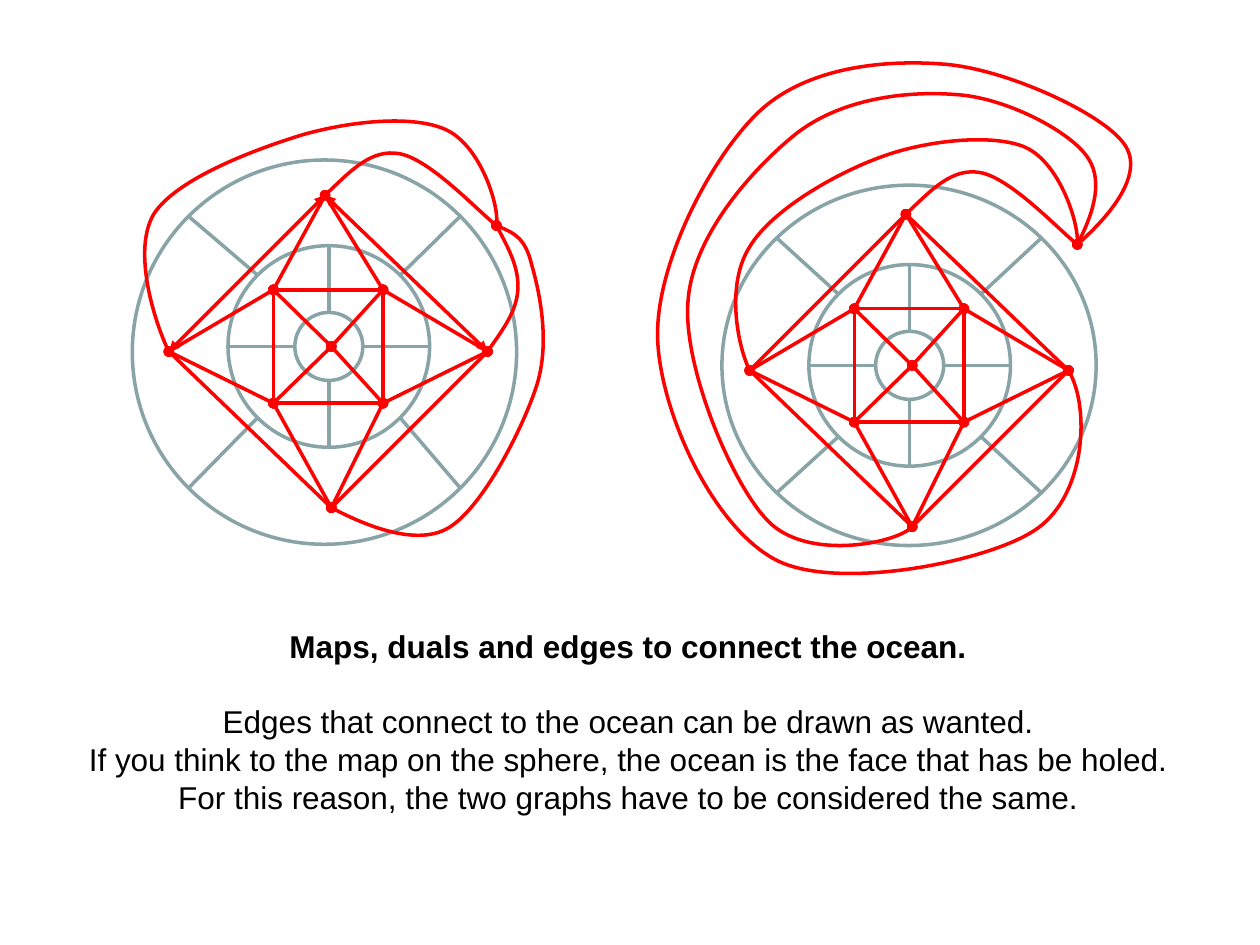
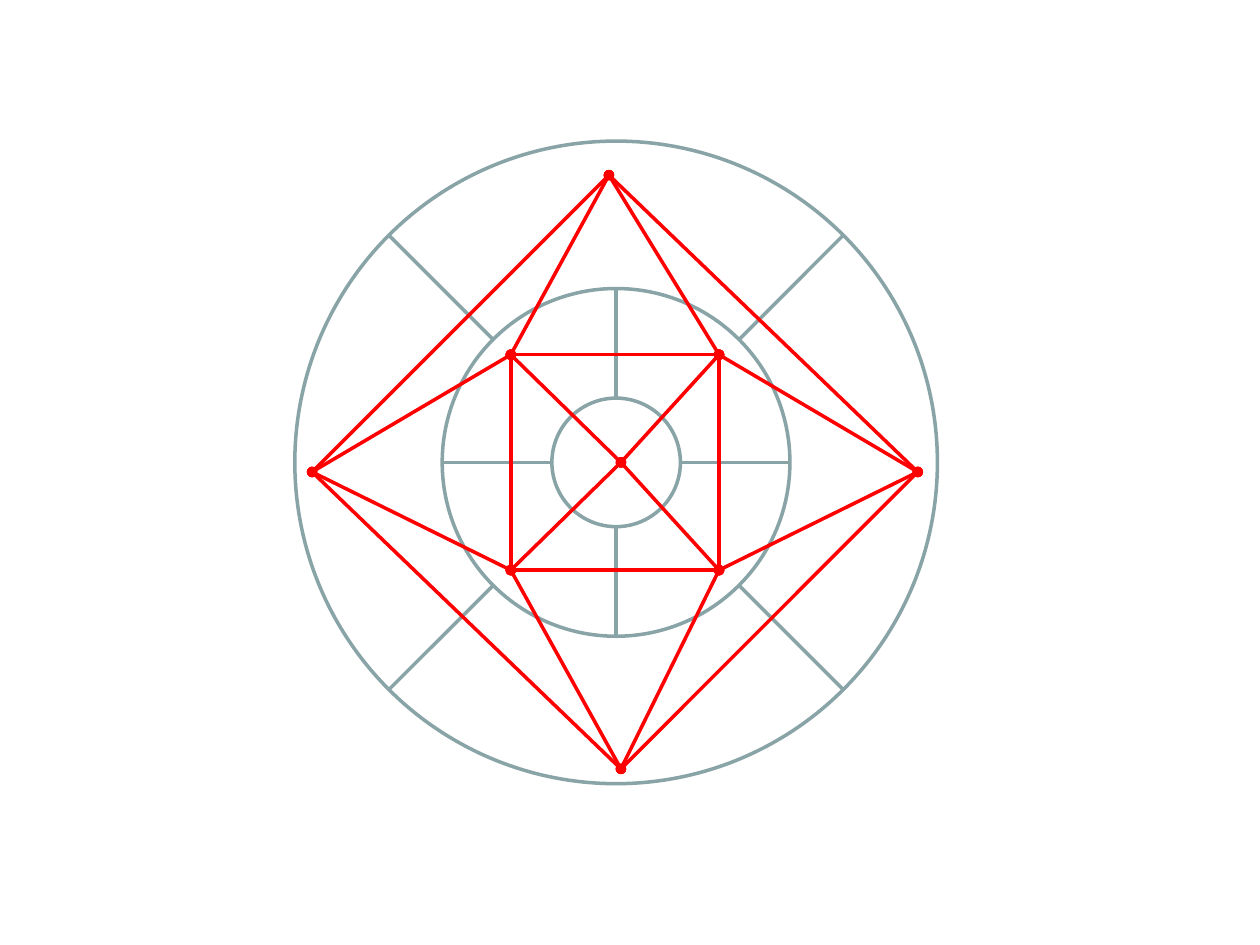
from lxml import etree
from pptx import Presentation
from pptx import util as u
from pptx.dml.color import RGBColor
from pptx.enum import shapes, text
from pptx.oxml.ns import qn

EMU_PER_PX = 9144  # 100 px to the inch
MAP_GREY, DUAL_RED, INK = "89A4A7", "FF0000", "000000"
FONT = "Arial"
DIAGONAL = 0.7071

# Vertices of the dual graph, in px from the hub of the map.
VERTICES = {
    "north": (-3, -120), "west": (-127, 4), "east": (126, 4), "south": (2, 128),
    "nw": (-44, -45), "ne": (43, -45), "sw": (-44, 45), "se": (43, 45),
    "centre": (2, 0), "ocean": (133, -96),
}
OUTER_EDGES = [("west", "north"), ("east", "north"),
               ("south", "east"), ("south", "west")]
INNER_EDGES = [
    ("south", "se"), ("south", "sw"), ("ne", "north"), ("nw", "north"),
    ("ne", "nw"), ("se", "sw"), ("nw", "sw"), ("ne", "se"),
    ("east", "se"), ("east", "ne"), ("nw", "west"), ("sw", "west"),
    ("centre", "se"), ("sw", "centre"), ("nw", "centre"), ("ne", "centre"),
]

# Bezier points between each outer vertex and the ocean, in px from the hub.
NORTH_TO_OCEAN = [(16, -138), (34, -157), (56, -153), (79, -149), (119, -107)]
SHORT_WAY = {
    "north": NORTH_TO_OCEAN,
    "east": [(137, -12), (149, -28), (150, -45), (151, -62), (142, -79)],
    "south": [(19, 137), (68, 160), (95, 144), (122, 128), (154, 65), (165, 31),
              (176, -4), (167, -44), (161, -65), (156, -86), (145, -91)],
    "west": [(-137, -16), (-156, -76), (-139, -105), (-121, -133), (-60, -156),
             (-21, -168), (18, -179), (67, -184), (93, -172), (119, -160),
             (136, -110)],
}
LONG_WAY = {
    "north": NORTH_TO_OCEAN,
    "west": [(-137, -16), (-145, -66), (-127, -94), (-110, -123), (-58, -153),
             (-21, -166), (15, -179), (67, -184), (92, -173), (118, -161),
             (135, -111)],
    "south": [(-9, 141), (-82, 154), (-112, 124), (-141, 95), (-180, 1),
              (-176, -50), (-173, -102), (-125, -156), (-90, -184), (-54, -212),
              (-2, -218), (36, -215), (74, -213), (123, -188), (139, -168),
              (155, -149), (145, -119)],
    "east": [(144, 34), (138, 106), (99, 131), (61, 156), (-56, 179),
             (-105, 155), (-155, 130), (-197, 40), (-200, -19), (-203, -78),
             (-159, -163), (-121, -200), (-83, -237), (-20, -243), (28, -239),
             (77, -235), (153, -200), (170, -176), (188, -152), (154, -114)],
}

CAPTION_TITLE = "Maps, duals and edges to connect the ocean."
CAPTION_LINES = [
    "Edges that connect to the ocean can be drawn as wanted.",
    "If you think to the map on the sphere, the ocean is the face that has be holed.",
    "For this reason, the two graphs have to be considered the same.",
]


def px(length):
    return u.Emu(round(length * EMU_PER_PX))


def colour(hex_string):
    return RGBColor.from_string(hex_string)


def style_line(line, hex_string, ends=None):
    line.color.rgb = colour(hex_string)
    line.width = u.Pt(2)
    if ends:
        outline = line._get_or_add_ln()
        for tag in ("a:headEnd", "a:tailEnd"):
            etree.SubElement(outline, qn(tag), type=ends)


def add_line(parts, start, end, hex_string, ends=None):
    line = parts.add_connector(shapes.MSO_CONNECTOR.STRAIGHT,
                               *(px(value) for value in (*start, *end)))
    style_line(line.line, hex_string, ends)
    etree.SubElement(line._element.spPr, qn("a:effectLst"))


def add_ring(parts, centre, radii):
    (x, y), (rx, ry) = centre, radii
    ring = parts.add_shape(shapes.MSO_SHAPE.OVAL, px(x - rx), px(y - ry),
                           px(2 * rx), px(2 * ry))
    ring.fill.background()
    ring.shadow.inherit = False
    style_line(ring.line, MAP_GREY)


def add_curve(parts, points):
    """Draw a chain of cubic Bezier segments: a start, then three points each."""
    builder = parts.build_freeform(*points[0], scale=EMU_PER_PX)
    builder.add_line_segments(points[1:], close=False)
    curve = builder.convert_to_shape()
    steps = curve._element.xpath(".//a:lnTo")
    for first, second, third in zip(steps[::3], steps[1::3], steps[2::3]):
        first.tag = qn("a:cubicBezTo")
        for step in (second, third):
            first.append(step[0])
            step.getparent().remove(step)
    curve.fill.background()
    curve.shadow.inherit = False
    style_line(curve.line, DUAL_RED, "oval")


def draw_map(parts, box, hub, middle, inner):
    """Draw three rings and their spokes; middle and inner are radii."""
    left, top, width, height = box
    outer_centre = (left + width / 2, top + height / 2)
    outer = (width / 2, height / 2)
    add_ring(parts, hub, (inner, inner))
    add_ring(parts, outer_centre, outer)
    add_ring(parts, hub, (middle, middle))
    for dx, dy in [(-1, 0), (1, 0), (0, -1), (0, 1)]:
        add_line(parts, (hub[0] + dx * middle, hub[1] + dy * middle),
                 (hub[0] + dx * inner, hub[1] + dy * inner), MAP_GREY)
    for dx, dy in [(1, 1), (1, -1), (-1, -1), (-1, 1)]:
        shore = (outer_centre[0] + dx * outer[0] * DIAGONAL,
                 outer_centre[1] + dy * outer[1] * DIAGONAL)
        border = (hub[0] + dx * middle * DIAGONAL,
                  hub[1] + dy * middle * DIAGONAL)
        add_line(parts, shore, border, MAP_GREY)


def draw_dual(parts, hub, size, ocean_routes, arrowed):
    """Draw the dual graph; arrowed edges get triangles at both ends."""
    def place(point):
        return hub[0] + point[0] * size, hub[1] + point[1] * size

    for edge in OUTER_EDGES + INNER_EDGES:
        start, end = (place(VERTICES[name]) for name in edge)
        add_line(parts, start, end, DUAL_RED,
                 "triangle" if edge in arrowed else "oval")
    for name, route in ocean_routes.items():
        add_curve(parts, [place(point) for point in
                          (VERTICES[name], *route, VERTICES["ocean"])])


def draw_map_with_dual(slide, box, hub_offset, middle, inner, size=1,
                       ocean_routes=None, arrowed=()):
    hub = (box[0] + hub_offset[0], box[1] + hub_offset[1])
    parts = slide.shapes.add_group_shape().shapes
    draw_map(parts, box, hub, middle, inner)
    draw_dual(parts, hub, size, ocean_routes or {}, arrowed)


def draw_caption(slide, box):
    frame = slide.shapes.add_textbox(*(px(value) for value in box)).text_frame
    frame.word_wrap = True
    for index, words in enumerate([CAPTION_TITLE, *CAPTION_LINES]):
        paragraph = frame.add_paragraph() if index else frame.paragraphs[0]
        paragraph.alignment = text.PP_ALIGN.CENTER
        paragraph.line_spacing = u.Pt(21.5)
        if index == 1:
            paragraph.space_before = u.Pt(21.5)
        run = paragraph.add_run()
        run.text = words
        run.font.name = FONT
        run.font.size = u.Pt(18)
        run.font.bold = index == 0
        run.font.color.rgb = colour(INK)


def build_ocean_slide(slide):
    draw_map_with_dual(slide, (105, 127, 305, 305), (156, 148), 80, 27,
                       ocean_routes=SHORT_WAY, arrowed=OUTER_EDGES[:2])
    draw_map_with_dual(slide, (573, 147, 297, 286), (149, 143), 80, 27,
                       ocean_routes=LONG_WAY)
    draw_caption(slide, (24, 493, 949, 190))


def build_plain_slide(slide):
    draw_map_with_dual(slide, (234, 112, 510, 510), (255, 255), 138, 51, size=1.9)


def main():
    deck = Presentation()
    deck.slide_width, deck.slide_height = px(1000), px(750)
    blank = deck.slide_layouts[6]
    for build in (build_ocean_slide, build_plain_slide):
        build(deck.slides.add_slide(blank))
    deck.save("out.pptx")


if __name__ == "__main__":
    main()
